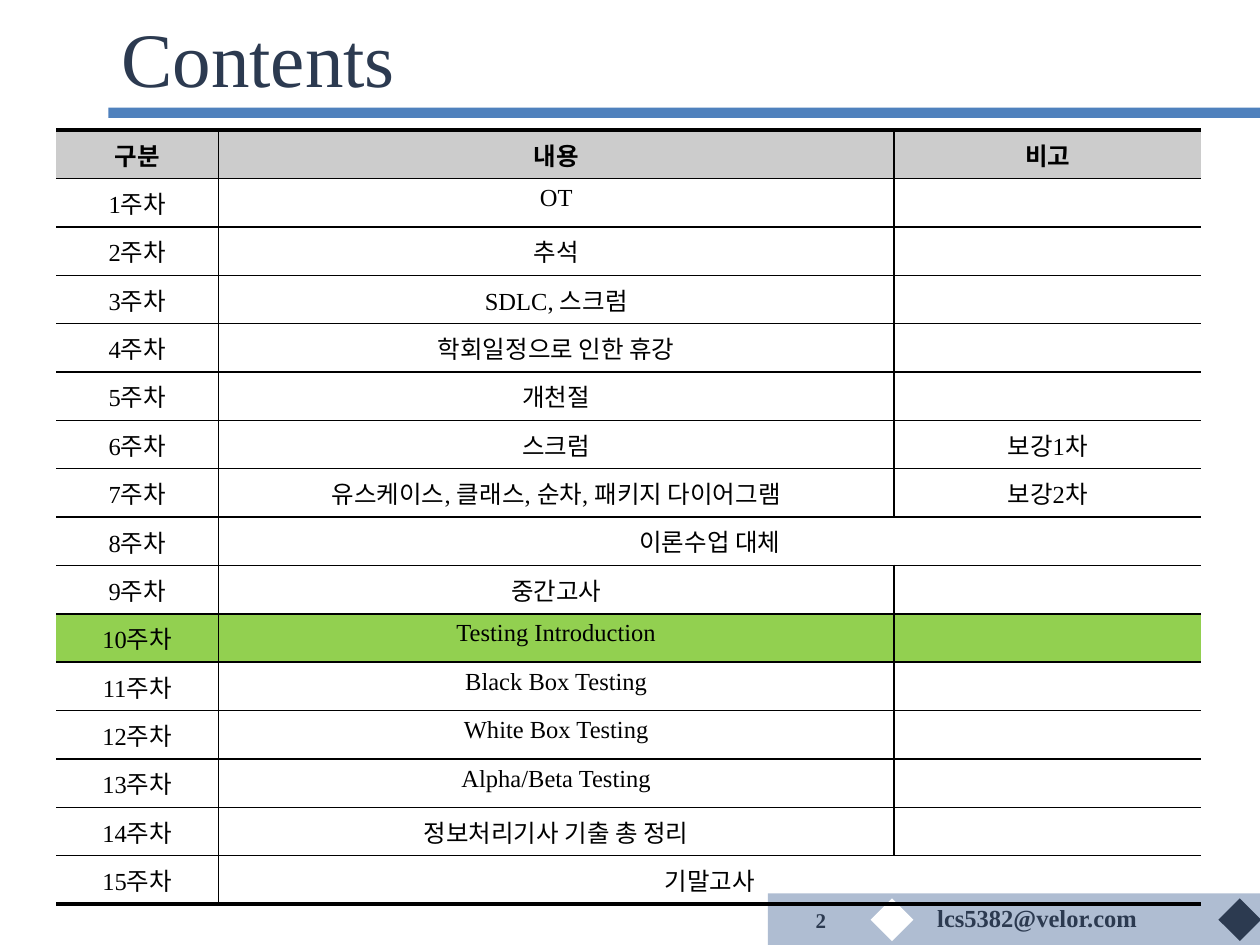
from lxml import etree
from pptx import Presentation
from pptx import util as u
from pptx.dml.color import RGBColor
from pptx.enum import shapes, text
from pptx.oxml import ns

UNIT = u.Inches(0.1)  # the slide is a grid of 100 columns and 75 rows
FONT = "Times New Roman"
NAVY = RGBColor(0x2C, 0x3A, 0x50)
BLUE = RGBColor(0x4F, 0x81, 0xBD)
SLATE = RGBColor(0x78, 0x8F, 0xB4)
GRAY = RGBColor(0xCC, 0xCC, 0xCC)
GREEN = RGBColor(0x92, 0xD0, 0x50)
BLACK = RGBColor(0, 0, 0)
WHITE = RGBColor(0xFF, 0xFF, 0xFF)

HEADINGS = ["구분", "내용", "비고"]
TOPICS = [
    "OT", "추석", "SDLC, 스크럼", "학회일정으로 인한 휴강", "개천절", "스크럼",
    "유스케이스, 클래스, 순차, 패키지 다이어그램", "이론수업 대체", "중간고사",
    "Testing Introduction", "Black Box Testing", "White Box Testing",
    "Alpha/Beta Testing", "정보처리기사 기출 총 정리", "기말고사",
]
REMARKS = {6: "보강1차", 7: "보강2차"}
MERGED_WEEKS = {8, 15}
ROW_FILLS = {0: GRAY, 10: GREEN, **dict.fromkeys((1, 3, 6, 7), WHITE)}
COLUMN_WIDTHS = [12.9, 53.6, 24.4]
ROW_HEIGHT = 3.84


def grid(*lengths):
    return [round(length * UNIT) for length in lengths]


def set_format(target, values):
    for name, value in values.items():
        setattr(target, name, value)


def write(frame, words, size, color, bold=False, align=None):
    para = frame.paragraphs[0]
    para.alignment = align
    span = para.add_run()
    span.text = words
    set_format(span.font, {"name": FONT, "size": u.Pt(size), "bold": bold})
    span.font.color.rgb = color


def add_block(page, area, color, rotation=0, opacity=None):
    block = page.shapes.add_shape(shapes.MSO_SHAPE.RECTANGLE, *grid(*area))
    block.shadow.inherit = False
    block.rotation = rotation
    block.fill.solid()
    block.fill.fore_color.rgb = color
    block.line.fill.background()
    if opacity is not None:
        tint = block.fill._xPr.find(".//" + ns.qn("a:srgbClr"))
        etree.SubElement(tint, ns.qn("a:alpha"), val=str(opacity * 1000))


def add_text(page, area, words, size, frame_format, **style):
    box = page.shapes.add_textbox(*grid(*area))
    set_format(box.text_frame, frame_format)
    write(box.text_frame, words, size, NAVY, **style)


def set_borders(cell, widths):
    """Draw the cell's edges; widths maps L, R, T, B to points, 0 for none."""
    properties = cell._tc.get_or_add_tcPr()
    for side, width in widths.items():
        edge = etree.SubElement(properties, ns.qn(f"a:ln{side}"), w=str(u.Pt(width)))
        if width:
            fill = etree.SubElement(edge, ns.qn("a:solidFill"))
            etree.SubElement(fill, ns.qn("a:srgbClr"), val=str(BLACK))
        else:
            etree.SubElement(edge, ns.qn("a:noFill"))


def line_width(row, last):
    """Width of the rule above a row."""
    return {0: 2.25, last: 0.75, last + 1: 2.25}.get(row, 1)


def fill_cell(cell, words, row, column, last):
    merged = row in MERGED_WEEKS
    set_borders(cell, {
        "L": 0 if column == 0 or (merged and column == 2) else 1,
        "R": 0 if column == 2 or (merged and column == 1) else 1,
        "T": line_width(row, last),
        "B": line_width(row + 1, last),
    })
    if row in ROW_FILLS:
        cell.fill.solid()
        cell.fill.fore_color.rgb = ROW_FILLS[row]
    else:
        cell.fill.background()
    if row and column != 1:
        cell.vertical_anchor = text.MSO_ANCHOR.MIDDLE
    if words:
        write(cell.text_frame, words, 14, BLACK, row == 0, text.PP_ALIGN.CENTER)
    else:
        # an empty cell must not stretch its row with the default text size
        para = cell.text_frame.paragraphs[0]
        etree.SubElement(para._p, ns.qn("a:endParaRPr"), sz="1400")


def add_schedule(page):
    rows = [HEADINGS] + [
        [f"{week}주차", topic, REMARKS.get(week, "")]
        for week, topic in enumerate(TOPICS, 1)
    ]
    last = len(rows) - 1
    area = grid(4.45, 10.33, sum(COLUMN_WIDTHS), ROW_HEIGHT * len(rows))
    table = page.shapes.add_table(len(rows), len(HEADINGS), *area).table
    set_format(table, {"first_row": False, "horz_banding": False})
    for column, width in zip(table.columns, grid(*COLUMN_WIDTHS)):
        column.width = width
    for row, entries in enumerate(rows):
        for column, words in enumerate(entries):
            fill_cell(table.cell(row, column), words, row, column, last)
    for week in MERGED_WEEKS:
        table.cell(week, 1).merge(table.cell(week, 2))


def add_footer(page):
    add_block(page, (60.95, 70.9, 39.05, 4.15), SLATE, opacity=59)
    for left, color in ((97.2, NAVY), (69.6, WHITE)):
        add_block(page, (left, 71.8, 2.4, 2.4), color, rotation=45)
    add_text(page, (73.4, 71.2, 18.6, 3.4), "lcs5382@velor.com", 14,
             {"word_wrap": False}, bold=True)
    add_text(page, (61.85, 71.35, 4.7, 3.4), "2", 12,
             {"word_wrap": True, "vertical_anchor": text.MSO_ANCHOR.MIDDLE},
             bold=True, align=text.PP_ALIGN.RIGHT)


def main():
    deck = Presentation()
    set_format(deck, {"slide_width": 100 * UNIT, "slide_height": 75 * UNIT})
    page = deck.slides.add_slide(deck.slide_layouts[6])
    add_block(page, (8.6, 8.55, 91.4, 0.8), BLUE)
    add_footer(page)
    add_text(page, (8.65, 0.65, 89.6, 7.7), "Contents", 44,
             {"word_wrap": True, "vertical_anchor": text.MSO_ANCHOR.MIDDLE})
    add_schedule(page)
    deck.save("out.pptx")


if __name__ == "__main__":
    main()
